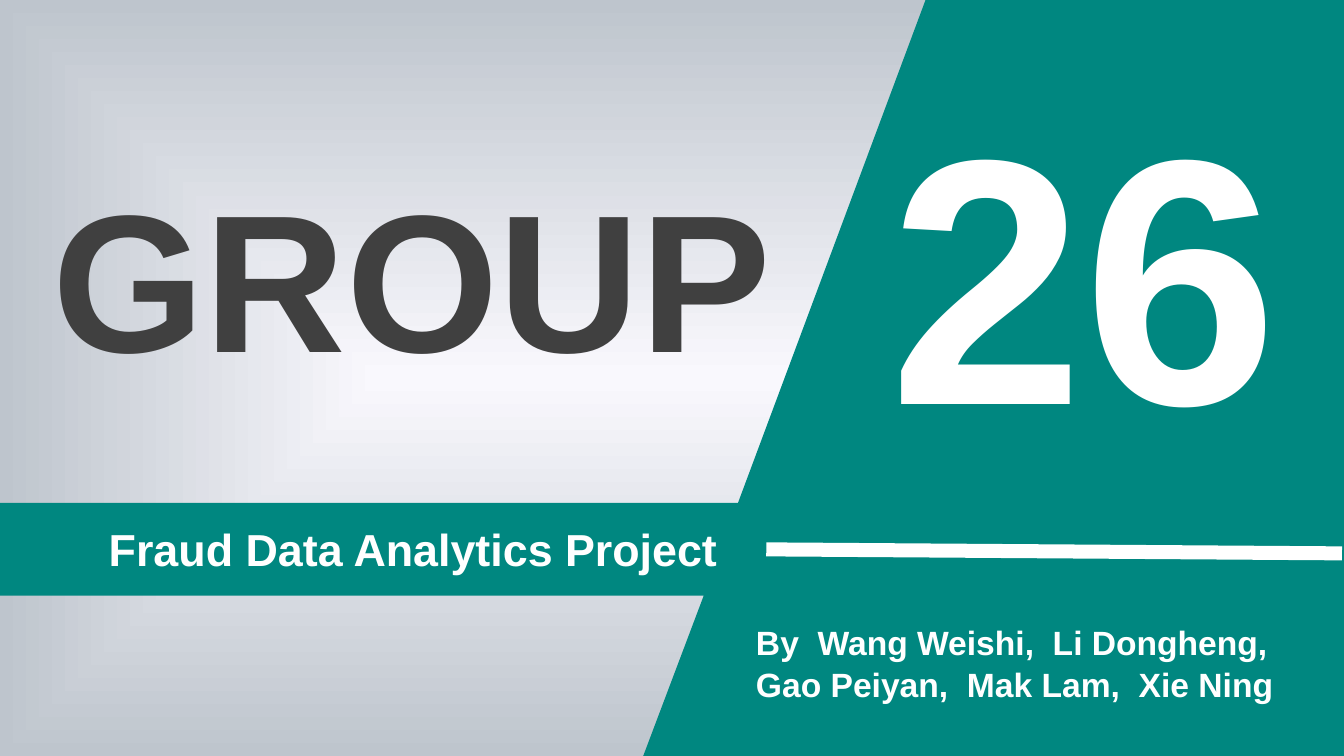
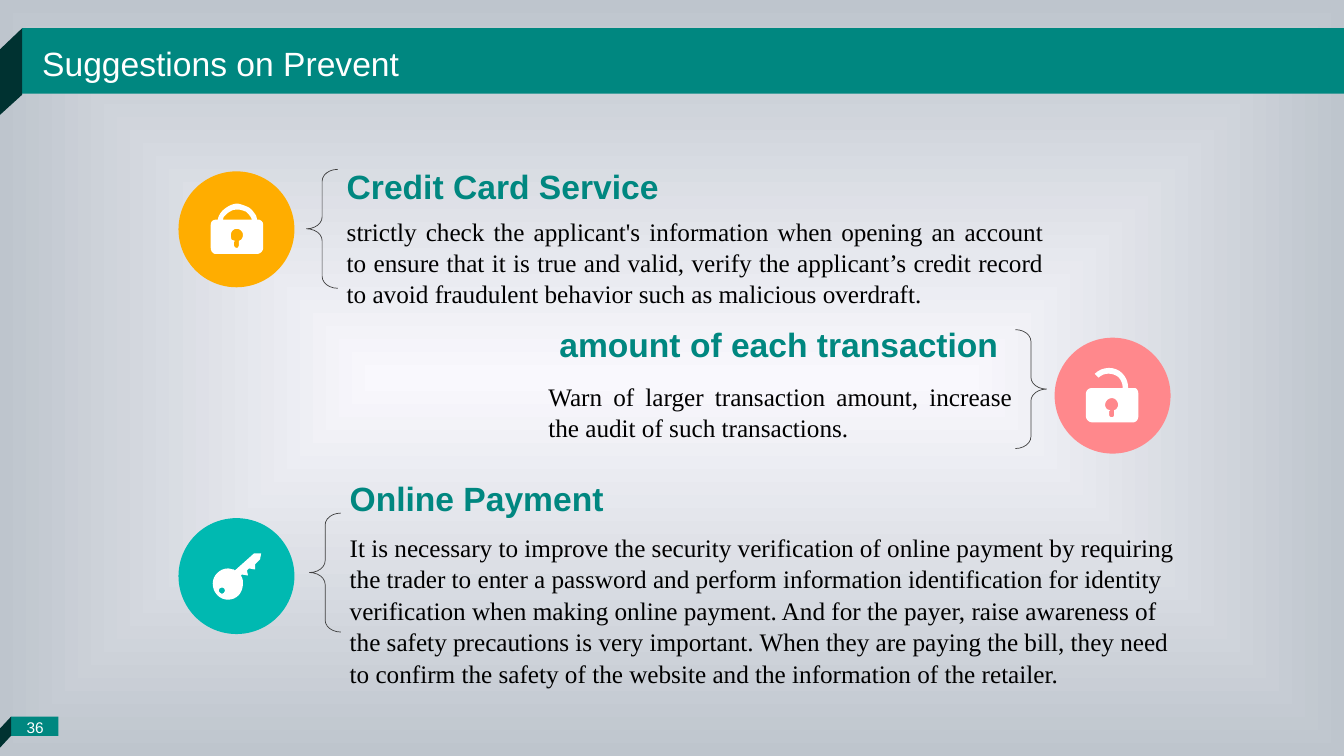
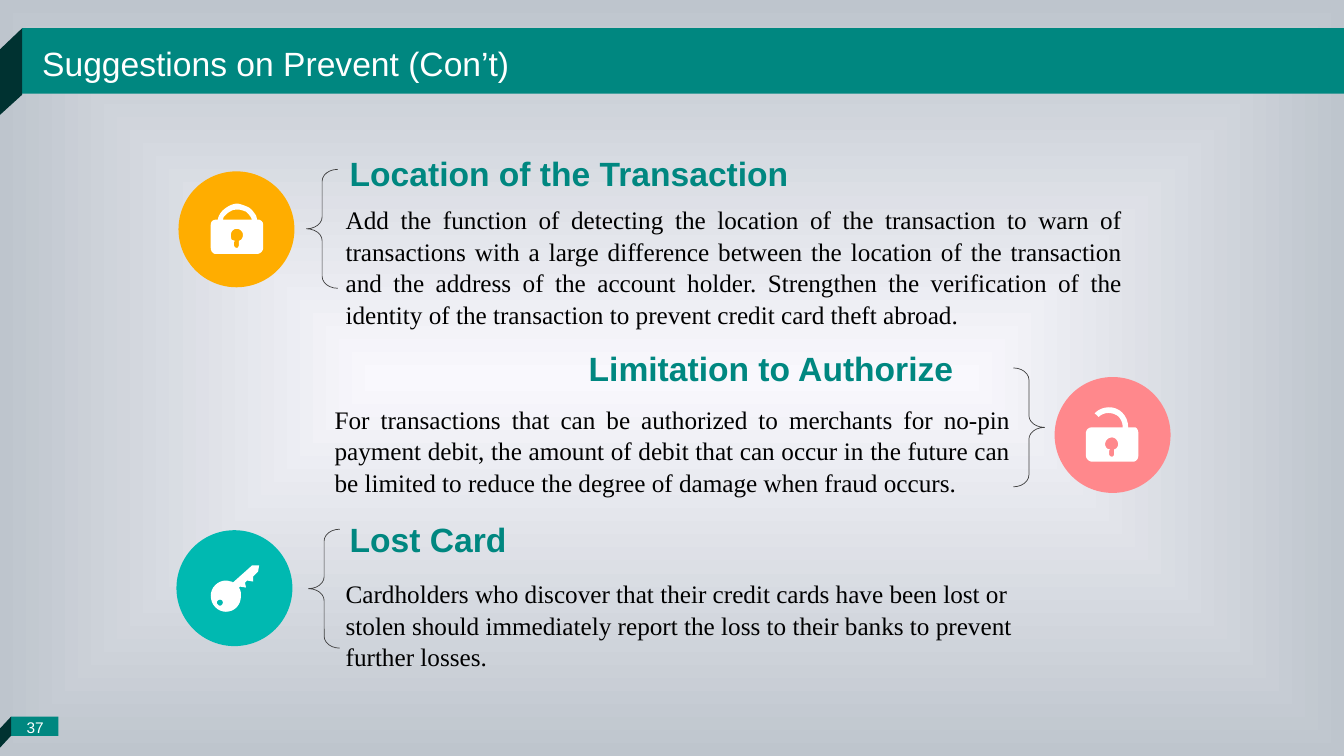
from lxml import etree
from pptx import Presentation
from pptx.dml.color import RGBColor
from pptx.enum.shapes import MSO_CONNECTOR, MSO_SHAPE
from pptx.enum.text import MSO_AUTO_SIZE, PP_ALIGN
from pptx.oxml.ns import qn
from pptx.util import Inches, Pt

TEAL = RGBColor(0x00, 0x87, 0x80)
DARK_TEAL = RGBColor(0x00, 0x32, 0x31)
TURQUOISE = RGBColor(0x00, 0xB9, 0xB1)
AMBER = RGBColor(0xFF, 0xAD, 0x00)
PINK = RGBColor(0xFF, 0x88, 0x8C)
CHARCOAL = RGBColor(0x40, 0x40, 0x40)
BLACK = RGBColor(0x00, 0x00, 0x00)
WHITE = RGBColor(0xFF, 0xFF, 0xFF)
PALE = RGBColor(0xF9, 0xF8, 0xFD)
GREY = RGBColor(0xBE, 0xC5, 0xCD)

SANS = "Arial"
SERIF = "Times New Roman"
DISC_SIZE = 1.15
BRACE_SIZE = (0.31, 1.18)
CURVE_STEPS = 8

# Icon outlines are in inches from the top left corner of their disc.
CLOSED_LOCK = """
M .58 .57 C .54 .57 .52 .60 .52 .63 C .52 .65 .52 .67 .53 .68 L .56 .69 L .55 .70
L .55 .73 C .55 .74 .56 .76 .58 .76 C .59 .76 .60 .74 .60 .73 L .60 .69 L .62 .68
C .63 .67 .64 .65 .64 .63 C .64 .60 .61 .57 .58 .57
M .59 .38 C .56 .38 .54 .38 .51 .40 C .49 .41 .47 .43 .45 .45 L .44 .48 L .73 .48
L .72 .46 C .71 .44 .69 .42 .67 .40 C .64 .39 .62 .38 .59 .38
M .59 .32 C .63 .33 .66 .34 .70 .36 C .73 .38 .75 .41 .77 .44 L .78 .48 L .80 .48
C .83 .49 .84 .51 .84 .53 L .84 .76 C .84 .79 .81 .82 .78 .82 L .37 .82
C .34 .82 .32 .79 .32 .76 L .32 .53 C .32 .50 .34 .48 .37 .48 L .39 .48
C .40 .42 .44 .38 .49 .35 C .52 .33 .56 .32 .59 .32
"""
OPEN_SHACKLE = """
M .43 .45 C .46 .38 .54 .35 .61 .37 C .68 .40 .72 .48 .69 .55 L .74 .57
C .78 .48 .73 .36 .63 .32 C .54 .28 .42 .33 .38 .43
"""
OPEN_BODY = """
M .57 .60 C .53 .60 .50 .63 .50 .67 C .50 .68 .51 .70 .52 .71 L .55 .72 L .54 .73
L .54 .76 C .54 .78 .55 .79 .57 .79 C .58 .79 .59 .78 .59 .76 L .59 .72 L .61 .71
C .62 .70 .63 .68 .63 .67 C .63 .63 .60 .60 .57 .60
M .38 .50 L .80 .50 C .82 .51 .83 .53 .83 .56 L .83 .78 C .83 .81 .81 .84 .78 .84
L .37 .84 C .34 .84 .31 .81 .31 .78 L .31 .56 C .31 .52 .34 .50 .37 .50
"""
KEY = """
M .43 .69 C .42 .69 .40 .70 .40 .72 C .40 .73 .42 .75 .43 .75
C .45 .75 .46 .73 .46 .72 C .46 .70 .45 .69 .43 .69
M .82 .35 L .81 .41 L .76 .46 L .76 .51 L .70 .50 L .68 .52 L .69 .57 L .63 .56
L .62 .57 L .63 .59 C .64 .61 .64 .63 .64 .65 C .64 .74 .58 .81 .49 .81
C .41 .81 .34 .74 .34 .65 C .34 .57 .41 .50 .49 .50 C .51 .50 .53 .51 .55 .51
L .56 .52 L .75 .35
"""

# Each icon: disc colour, then pairs of outline and rotation.
LOCK_ICON = (AMBER, [(CLOSED_LOCK, 0)])
UNLOCK_ICON = (PINK, [(OPEN_SHACKLE, 22.4), (OPEN_BODY, 0)])
KEY_ICON = (TURQUOISE, [(KEY, 0)])


def curve_points(start, first, second, end):
    """Points along a cubic curve, without its start."""
    points = []
    for step in range(1, CURVE_STEPS + 1):
        t = step / CURVE_STEPS
        weights = ((1 - t) ** 3, 3 * t * (1 - t) ** 2, 3 * t * t * (1 - t), t ** 3)
        points.append(tuple(
            sum(weight * value for weight, value in zip(weights, axis))
            for axis in zip(start, first, second, end)))
    return points


def contours_of(drawing):
    """Turn M, L and C commands into lists of points, one per contour."""
    contours = []
    words = iter(drawing.split())
    for command in words:
        count = 3 if command == "C" else 1
        points = [(float(next(words)), float(next(words))) for _ in range(count)]
        if command == "M":
            contours.append(points)
        elif command == "L":
            contours[-1] += points
        else:
            contours[-1] += curve_points(contours[-1][-1], *points)
    return contours


class Slides:
    def __init__(self):
        self.deck = Presentation()
        self.deck.slide_width = Inches(13.33)
        self.deck.slide_height = Inches(7.5)
        self.shapes = None
        self.set_background()

    def set_background(self):
        """Give the master a gradient that spreads from the middle."""
        master = self.deck.slide_master
        fill = master.background.fill
        fill.gradient()
        for stop, color, position in zip(fill.gradient_stops, (PALE, GREY), (0, 1)):
            stop.color.rgb = color
            stop.position = position
        linear = master.element.find(".//" + qn("p:bg")).find(".//" + qn("a:lin"))
        spread = etree.Element(qn("a:path"), {"path": "rect"})
        etree.SubElement(spread, qn("a:fillToRect"),
                         {"l": "50000", "t": "-80000", "r": "50000", "b": "-80000"})
        linear.getparent().replace(linear, spread)

    def new_slide(self):
        self.shapes = self.deck.slides.add_slide(self.deck.slide_layouts[6]).shapes

    def content_slide(self, title, number):
        """Start a slide with the folded title band and page tab."""
        self.new_slide()
        self.shape(MSO_SHAPE.RECTANGLE, (0.22, 0.28, 13.11, 0.65), fill=TEAL)
        self.outline([[(0, 0.49), (0, 1.14), (0.22, 0.94), (0.22, 0.28)]], DARK_TEAL)
        self.text(title, (0.32, 0.38, 4.88, 0.51), size=24, color=WHITE)
        self.shape(MSO_SHAPE.RECTANGLE, (0.11, 7.11, 0.47, 0.19), fill=TEAL)
        self.outline([[(0.11, 7.11), (-0.02, 7.25), (-0.02, 7.44), (0.11, 7.3)]],
                     DARK_TEAL)
        self.text(number, (0.12, 7.05, 0.46, 0.32), size=11, color=WHITE,
                  align=PP_ALIGN.CENTER, insets=(0, 0.07))

    def text(self, text, at, *, size, color, font=SANS, bold=False,
             align=PP_ALIGN.LEFT, insets=(0.1, 0.05), spacing=1.0):
        """Add a text box; each line of the text is a paragraph."""
        box = self.shapes.add_textbox(*map(Inches, at))
        frame = box.text_frame
        frame.word_wrap = True
        frame.auto_size = MSO_AUTO_SIZE.SHAPE_TO_FIT_TEXT
        frame.margin_left = frame.margin_right = Inches(insets[0])
        frame.margin_top = frame.margin_bottom = Inches(insets[1])
        for index, line in enumerate(text.split("\n")):
            para = frame.add_paragraph() if index else frame.paragraphs[0]
            para.alignment = align
            para.line_spacing = spacing
            span = para.add_run()
            span.text = line
            span.font.name = font
            span.font.size = Pt(size)
            span.font.bold = bold
            span.font.color.rgb = color

    def shape(self, kind, at, *, fill=None, line=None):
        shape = self.shapes.add_shape(kind, *map(Inches, at))
        self.paint(shape, fill, line)
        return shape

    def paint(self, shape, fill, line=None):
        shape.shadow.inherit = False
        if fill is None:
            shape.fill.background()
        else:
            shape.fill.solid()
            shape.fill.fore_color.rgb = fill
        if line is None:
            shape.line.fill.background()
        else:
            shape.line.color.rgb = line
            shape.line.width = Pt(0.5)

    def outline(self, contours, fill, origin=(0, 0), rotation=0):
        """Add one filled freeform; inner contours become holes."""
        placed = [[(Inches(origin[0] + x), Inches(origin[1] + y)) for x, y in contour]
                  for contour in contours]
        builder = self.shapes.build_freeform(*placed[0][0])
        for index, contour in enumerate(placed):
            if index:
                builder.move_to(*contour[0])
            builder.add_line_segments(contour[1:], close=True)
        shape = builder.convert_to_shape()
        shape.rotation = rotation
        self.paint(shape, fill)

    def line(self, start, end, color, width):
        line = self.shapes.add_connector(
            MSO_CONNECTOR.STRAIGHT, *map(Inches, start + end))
        line.line.color.rgb = color
        line.line.width = Pt(width)
        etree.SubElement(line.element.spPr, qn("a:effectLst"))

    def icon(self, icon, corner):
        color, outlines = icon
        self.shape(MSO_SHAPE.OVAL, (*corner, DISC_SIZE, DISC_SIZE), fill=color)
        for drawing, rotation in outlines:
            self.outline(contours_of(drawing), WHITE, corner, rotation)

    def suggestion(self, heading, heading_at, body, body_at, icon, icon_at, brace_at,
                   align=PP_ALIGN.JUSTIFY):
        """Add a heading and body, with an icon and a brace that opens to them."""
        self.text(heading, heading_at, size=24, color=TEAL, bold=True)
        self.text(body, body_at, size=18, color=BLACK, font=SERIF, align=align,
                  spacing=1.04)
        self.icon(icon, icon_at)
        on_left = brace_at[0] < body_at[0]
        kind = MSO_SHAPE.LEFT_BRACE if on_left else MSO_SHAPE.RIGHT_BRACE
        brace = self.shape(kind, (*brace_at, *BRACE_SIZE), line=CHARCOAL)
        brace.adjustments[0] = 0.38


def cover(slides):
    slides.new_slide()
    slides.outline([[(9.18, 0), (13.33, 0), (13.33, 7.5), (6.38, 7.5), (6.98, 5.91),
                     (0, 5.91), (0, 4.99), (7.32, 4.99)]], TEAL)
    slides.line((7.6, 5.45), (13.31, 5.49), WHITE, 10)
    slides.text("Fraud Data Analytics Project", (0.98, 5.13, 6.29, 0.64),
                size=32, color=WHITE, bold=True)
    slides.text("26", (8.72, 0.49, 4.6, 4.48), size=250, color=WHITE, bold=True)
    slides.text("GROUP", (0.42, 1.5, 7.4, 2.46), size=140, color=CHARCOAL, bold=True)
    slides.text("By  Wang Weishi,  Li Dongheng,\nGao Peiyan,  Mak Lam,  Xie Ning",
                (7.4, 6.1, 5.93, 0.91), size=24, color=WHITE, bold=True, spacing=1.05)


def suggestions(slides):
    slides.content_slide("Suggestions on Prevent", "36")
    slides.suggestion(
        "Credit Card Service", (3.34, 1.6, 3.4, 0.51),
        "strictly check the applicant's information when opening an account to ensure "
        "that it is true and valid, verify the applicant’s credit record to avoid "
        "fraudulent behavior such as malicious overdraft.",
        (3.34, 2.08, 7.11, 1.01), LOCK_ICON, (1.77, 1.7), (3.04, 1.68))
    slides.suggestion(
        "amount of each transaction", (5.45, 3.16, 4.7, 0.51),
        "Warn of larger transaction amount, increase the audit of such transactions.",
        (5.34, 3.72, 4.8, 0.71), UNLOCK_ICON, (10.46, 3.35), (10.07, 3.27))
    slides.suggestion(
        "Online Payment", (3.37, 4.69, 2.8, 0.51),
        "It is necessary to improve the security verification of online payment by "
        "requiring the trader to enter a password and perform information "
        "identification for identity verification when making online payment. And for "
        "the payer, raise awareness of the safety precautions is very important. When "
        "they are paying the bill, they need to confirm the safety of the website and "
        "the information of the retailer.",
        (3.37, 5.22, 8.51, 1.61), KEY_ICON, (1.77, 5.14), (3.07, 5.09),
        align=PP_ALIGN.LEFT)


def more_suggestions(slides):
    slides.content_slide("Suggestions on Prevent (Con’t)", "37")
    slides.suggestion(
        "Location of the Transaction", (3.37, 1.47, 4.7, 0.51),
        "Add the function of detecting the location of the transaction to warn of "
        "transactions with a large difference between the location of the transaction "
        "and the address of the account holder. Strengthen the verification of the "
        "identity of the transaction to prevent credit card theft abroad.",
        (3.33, 1.97, 7.9, 1.31), LOCK_ICON, (1.77, 1.7), (3.04, 1.68))
    slides.suggestion(
        "Limitation to Authorize", (5.74, 3.4, 3.95, 0.5),
        "For transactions that can be authorized to merchants for no-pin payment "
        "debit, the amount of debit that can occur in the future can be limited to "
        "reduce the degree of damage when fraud occurs.",
        (3.22, 3.95, 6.9, 1.01), UNLOCK_ICON, (10.46, 3.74), (10.05, 3.65))
    slides.suggestion(
        "Lost Card", (3.37, 5.1, 1.9, 0.51),
        "Cardholders who discover that their credit cards have been lost or stolen "
        "should immediately report the loss to their banks to prevent further losses.",
        (3.33, 5.68, 7.02, 1.01), KEY_ICON, (1.75, 5.26), (3.06, 5.25),
        align=PP_ALIGN.LEFT)


def main():
    slides = Slides()
    cover(slides)
    suggestions(slides)
    more_suggestions(slides)
    slides.deck.save("out.pptx")


if __name__ == "__main__":
    main()
